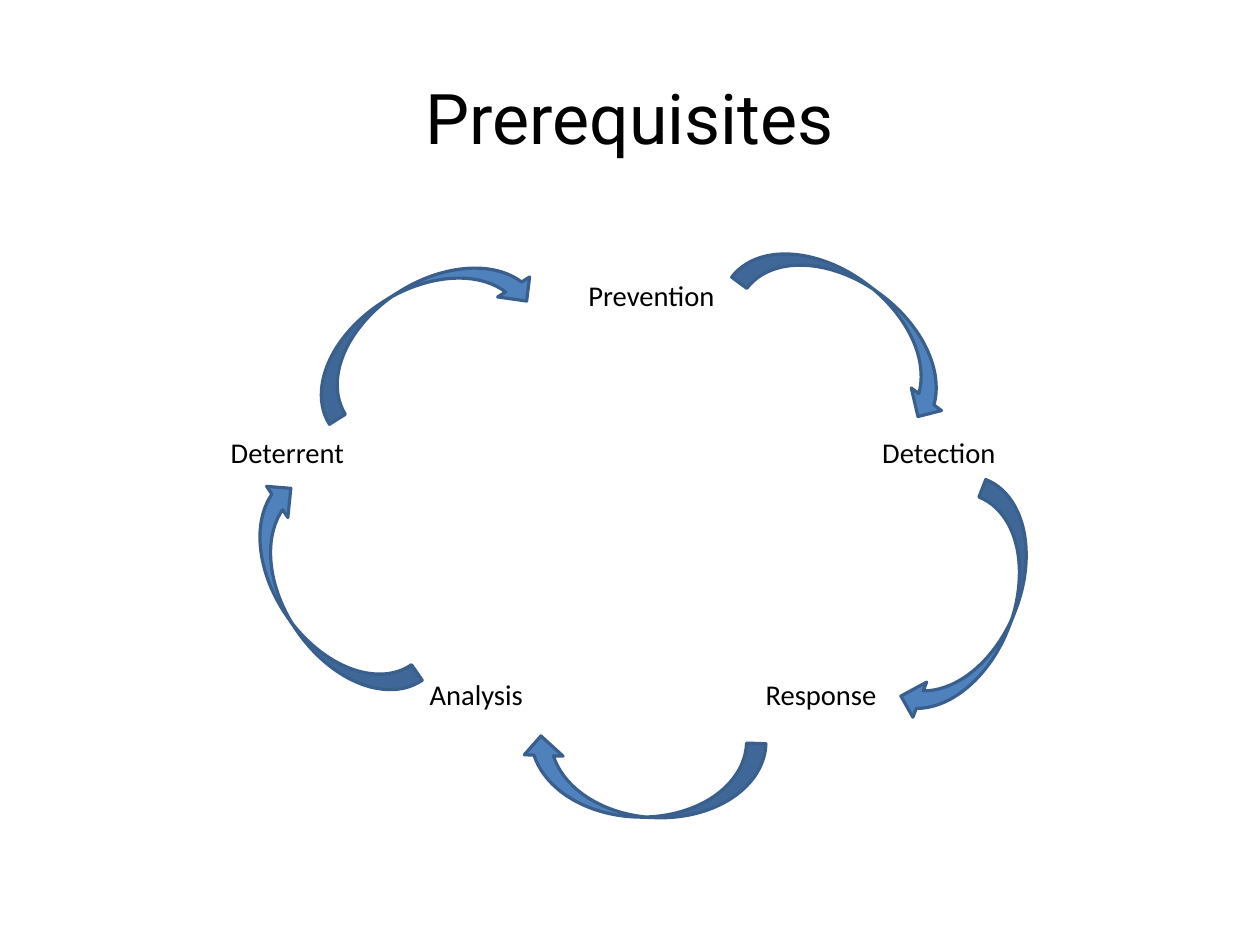
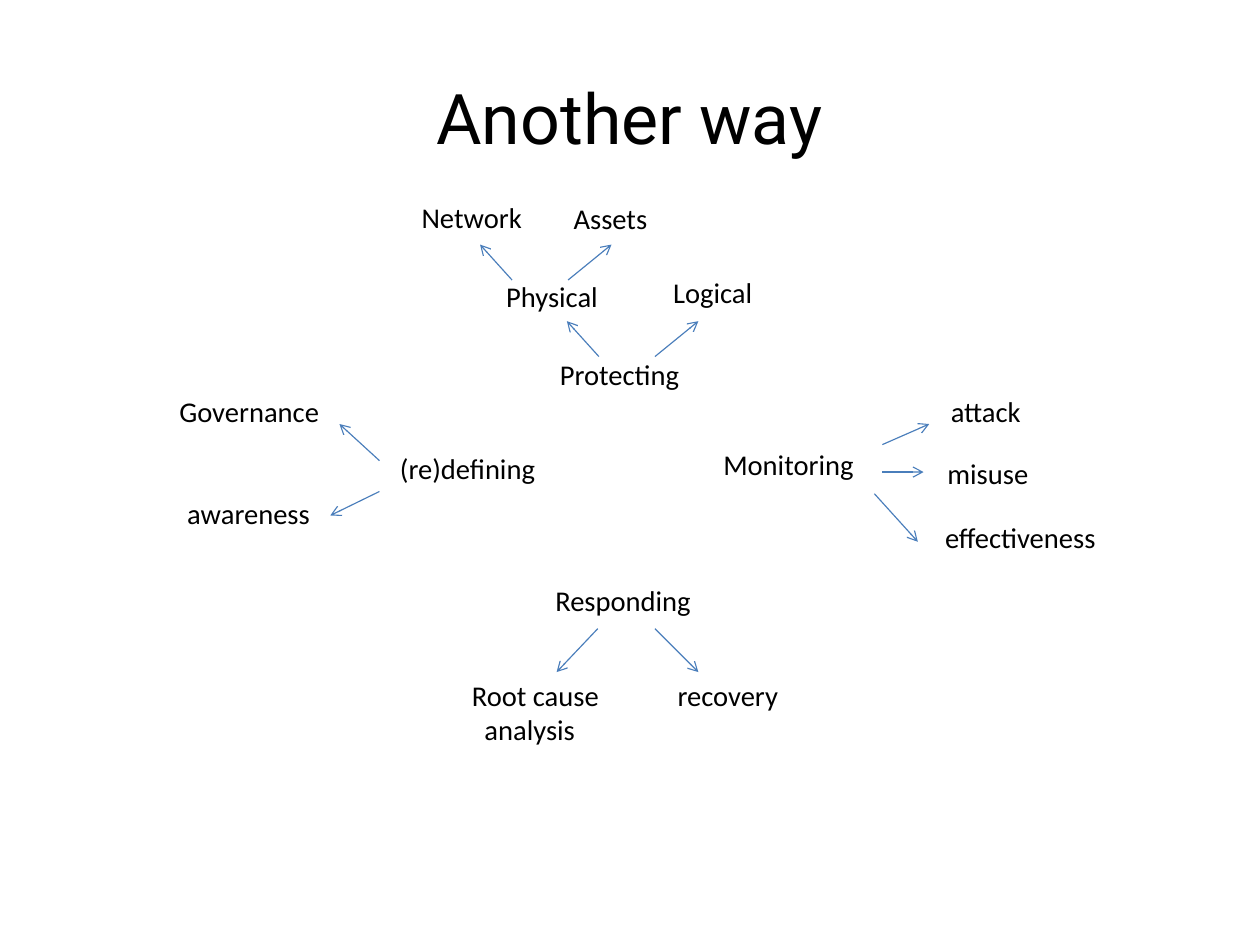
"""Build two slides on security: a prerequisites cycle and a map of activities."""
from dataclasses import dataclass

import lxml.etree
import pptx
import pptx.dml.color
import pptx.enum.shapes
import pptx.enum.text
import pptx.oxml.ns
import pptx.presentation
import pptx.slide
import pptx.util

Inches = pptx.util.Inches
Pt = pptx.util.Pt
PP_ALIGN = pptx.enum.text.PP_ALIGN
MSO_ANCHOR = pptx.enum.text.MSO_ANCHOR
COLORS = {"text": "000000", "fill": "4F81BD", "outline": "3A5F8C", "branch": "4A7EBB"}
CM_PER_INCH = 2.54
SLIDE_WIDTH = 28 / CM_PER_INCH
SLIDE_HEIGHT = 21 / CM_PER_INCH
LABEL_HEIGHT = 0.4
LINE_STEP = 0.3


@dataclass(frozen=True)
class Label:
    text: str
    left: float
    top: float
    width: float
    second_line_indent: float = 0


@dataclass(frozen=True)
class CycleArrow:
    left: float
    top: float
    rotation: float
    width: float = 2.2
    height: float = 0.66


@dataclass(frozen=True)
class Branch:
    x1: float
    y1: float
    x2: float
    y2: float


def rgb(name: str) -> pptx.dml.color.RGBColor:
    return pptx.dml.color.RGBColor.from_string(COLORS[name])


def add_text(s: pptx.slide.Slide, text: str, left: float, top: float, width: float,
             height: float, *, size: float = 18, font: str = "Calibri",
             align: PP_ALIGN = PP_ALIGN.LEFT, anchor: MSO_ANCHOR = MSO_ANCHOR.TOP,
             right_inset: float = 0, second_line_indent: float = 0) -> None:
    sp = s.shapes.add_textbox(Inches(left), Inches(top), Inches(width), Inches(height))
    tf = sp.text_frame
    tf.word_wrap = True
    tf.vertical_anchor = anchor
    tf.margin_right = Inches(right_inset)
    tf.text = text
    for p in tf.paragraphs:
        p.alignment = align
        for r in p.runs:
            r.font.size = Pt(size)
            r.font.name = font
            r.font.color.rgb = rgb("text")
    if second_line_indent:
        pPr = tf.paragraphs[1]._p.get_or_add_pPr()
        pPr.set("marL", str(Inches(second_line_indent)))
        pPr.set("indent", "0")


def add_label(s: pptx.slide.Slide, label: Label) -> None:
    height = LABEL_HEIGHT + LINE_STEP * label.text.count("\n")
    add_text(s, label.text, label.left, label.top, label.width, height,
             second_line_indent=label.second_line_indent)


def add_cycle_arrow(s: pptx.slide.Slide, arrow: CycleArrow) -> None:
    sp = s.shapes.add_shape(pptx.enum.shapes.MSO_SHAPE.CURVED_DOWN_ARROW,
                            Inches(arrow.left), Inches(arrow.top),
                            Inches(arrow.width), Inches(arrow.height))
    sp.rotation = arrow.rotation
    sp.shadow.inherit = False
    sp.fill.solid()
    sp.fill.fore_color.rgb = rgb("fill")
    sp.line.color.rgb = rgb("outline")
    sp.line.width = Pt(2)


def add_branch(s: pptx.slide.Slide, branch: Branch) -> None:
    sp = s.shapes.add_connector(pptx.enum.shapes.MSO_CONNECTOR.STRAIGHT,
                                Inches(branch.x1), Inches(branch.y1),
                                Inches(branch.x2), Inches(branch.y2))
    sp.line.color.rgb = rgb("branch")
    sp.line.width = Pt(0.75)
    qn = pptx.oxml.ns.qn
    lxml.etree.SubElement(sp.line._get_or_add_ln(), qn("a:tailEnd"), type="arrow")
    lxml.etree.SubElement(sp._element.spPr, qn("a:effectLst"))


def upward_fork(x: float, y: float) -> list[Branch]:
    return [Branch(x, y, x - 0.28, y - 0.31),
            Branch(x + 0.49, y, x + 0.87, y - 0.31)]


def add_slide(prs: pptx.presentation.Presentation, title: str,
              labels: list[Label]) -> pptx.slide.Slide:
    s = prs.slides.add_slide(prs.slide_layouts[6])
    add_text(s, title, 0.55, 0.33, 9.92, 1.38, size=44, font="Roboto",
             align=PP_ALIGN.CENTER, anchor=MSO_ANCHOR.MIDDLE, right_inset=0.1)
    for label in labels:
        add_label(s, label)
    return s


STAGES = [
    Label("Prevention", 5.05, 2.38, 1.3),
    Label("Detection", 7.62, 3.76, 1.19),
    Label("Response", 6.6, 5.87, 1.17),
    Label("Analysis", 3.66, 5.87, 1.01),
    Label("Deterrent", 1.92, 3.76, 1.19),
]
CYCLE = [
    CycleArrow(7.43, 5.01, 111.4),
    CycleArrow(1.7, 4.9, 235.6),
    CycleArrow(2.54, 2.52, 328),
    CycleArrow(4.55, 6.47, 182, 2.14, 0.68),
    CycleArrow(6.38, 2.49, 36.8),
]
ACTIVITIES = [
    Label("Protecting", 4.8, 3.07, 1.24),
    Label("Monitoring", 6.23, 3.86, 1.34),
    Label("Responding", 4.76, 5.05, 1.38),
    Label("(re)defining", 3.4, 3.9, 1.38),
    Label("Physical", 4.33, 2.39, 1),
    Label("Logical", 5.79, 2.36, 0.89),
    Label("attack", 8.22, 3.4, 1.08),
    Label("misuse", 8.19, 3.94, 0.91),
    Label("Root cause\nanalysis", 4.03, 5.88, 1.31, second_line_indent=0.11),
    Label("recovery", 5.83, 5.88, 1.08),
    Label("Governance", 1.47, 3.4, 1.42),
    Label("awareness", 1.54, 4.29, 1.27),
    Label("Assets", 4.92, 1.71, 0.84),
    Label("Network", 3.59, 1.7, 1.07),
    Label("effectiveness", 8.17, 4.5, 1.87),
]
BRANCHES = [
    *upward_fork(5.24, 3.12),
    *upward_fork(4.48, 2.45),
    Branch(5.23, 5.5, 4.87, 5.88),
    Branch(5.73, 5.5, 6.11, 5.88),
    Branch(3.32, 4.3, 2.89, 4.51),
    Branch(3.32, 4.03, 2.97, 3.71),
    Branch(7.72, 4.13, 8.08, 4.13),
    Branch(7.65, 4.32, 8.03, 4.74),
    Branch(7.72, 3.89, 8.13, 3.71),
]


def main() -> None:
    prs = pptx.Presentation()
    prs.slide_width = Inches(SLIDE_WIDTH)
    prs.slide_height = Inches(SLIDE_HEIGHT)
    s = add_slide(prs, "Prerequisites", STAGES)
    for arrow in CYCLE:
        add_cycle_arrow(s, arrow)
    s = add_slide(prs, "Another way", ACTIVITIES)
    for branch in BRANCHES:
        add_branch(s, branch)
    prs.save("out.pptx")


if __name__ == "__main__":
    main()
